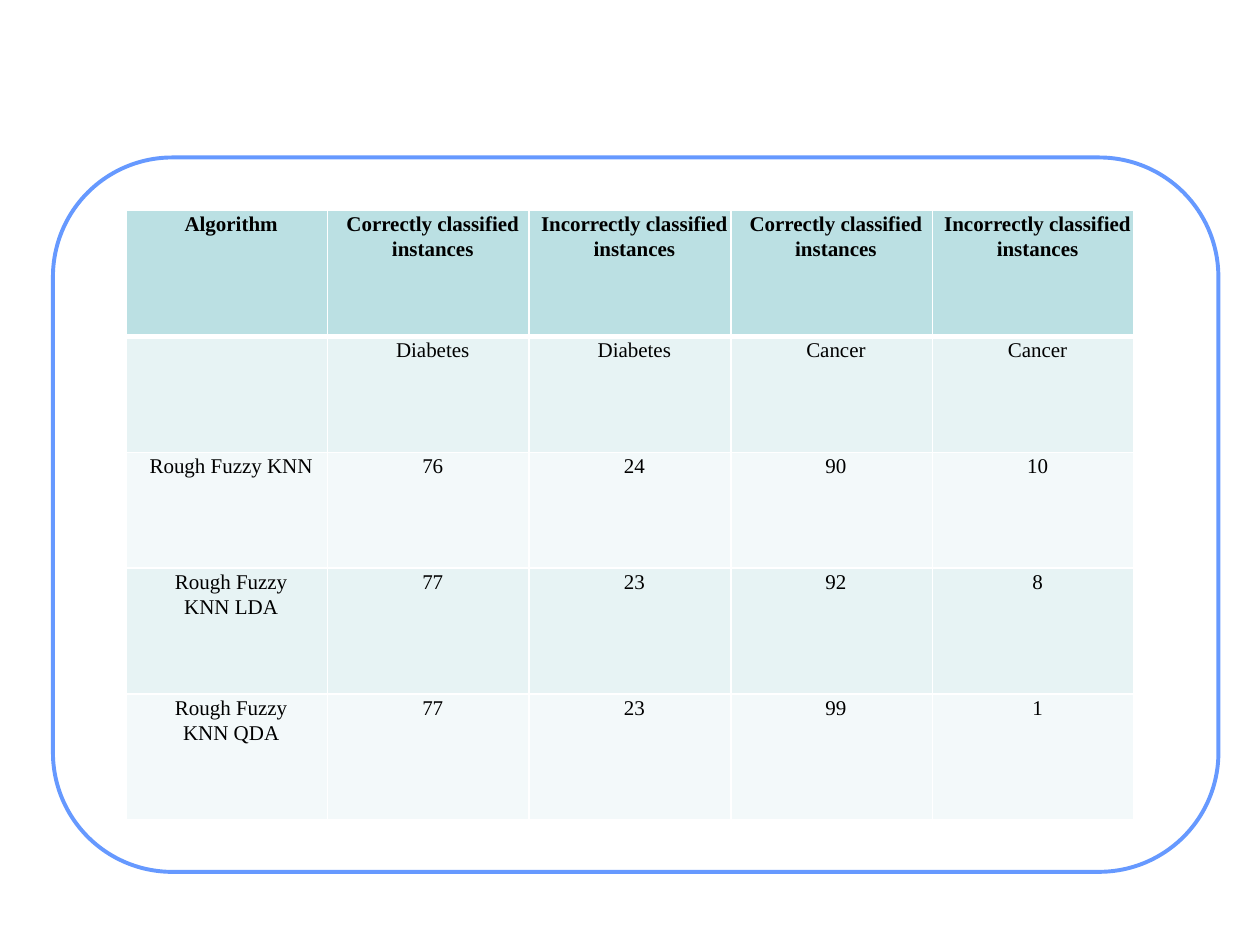
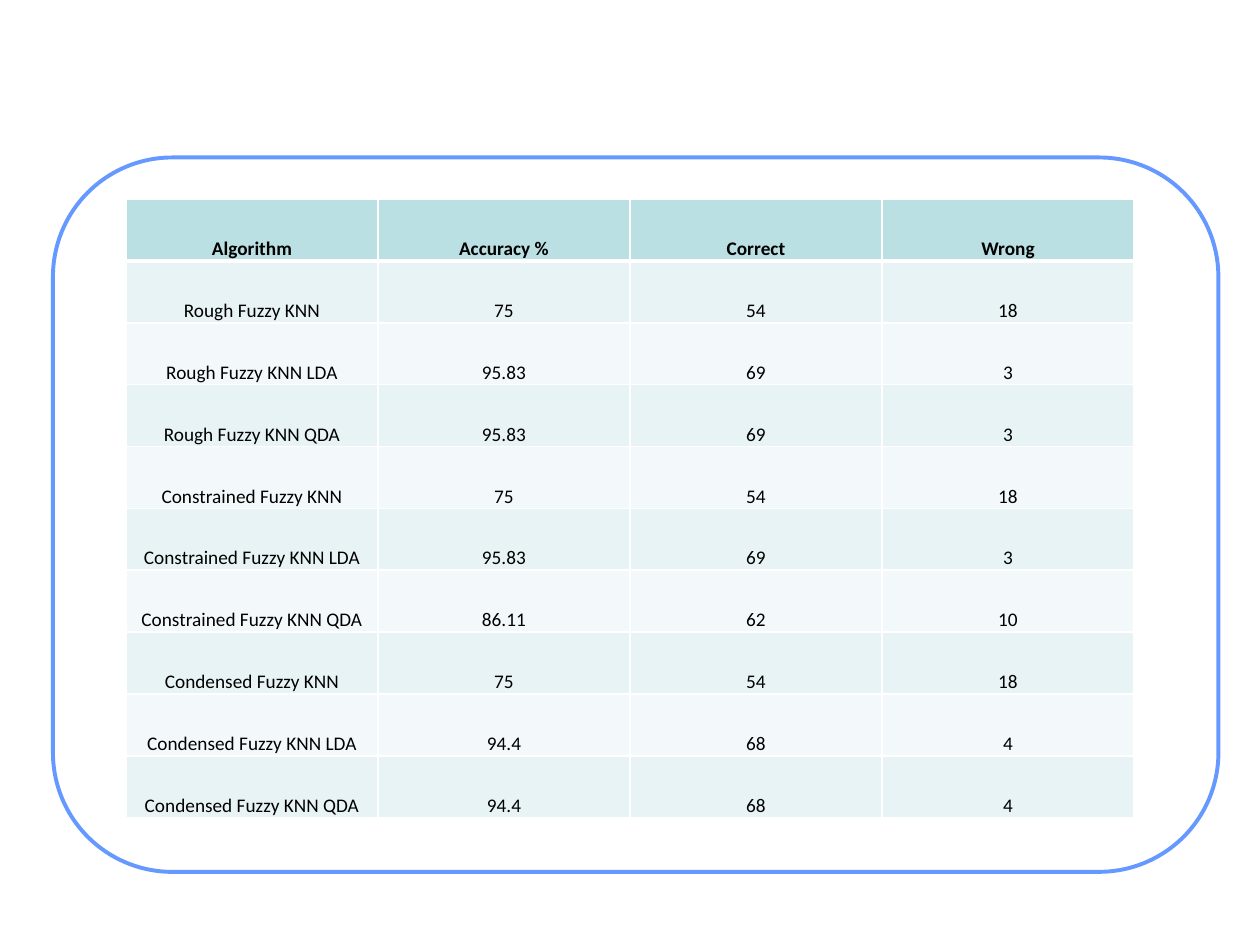
from dataclasses import dataclass

from lxml.etree import SubElement
from pptx import Presentation
from pptx.dml.color import RGBColor
from pptx.enum.shapes import MSO_SHAPE
from pptx.enum.text import MSO_ANCHOR, PP_ALIGN
from pptx.oxml.ns import qn
from pptx.util import Inches, Pt


@dataclass(frozen=True)
class Theme:
    """Colours and line widths shared by the slides."""
    white: str = "FFFFFF"
    text: str = "000000"
    frame: str = "6699FF"
    header: str = "BBE0E3"
    bands: tuple = ("E7F3F4", "F3F9FA")
    frame_width: float = 2.25
    rule: float = 1
    header_rule: float = 3


@dataclass(frozen=True)
class TableStyle:
    """Type and cell layout of one table."""
    font: str
    size: float
    spacing: float
    anchor: MSO_ANCHOR
    insets: tuple


THEME = Theme()
CLASSIFIED = TableStyle("Times New Roman", 12, 1.07, MSO_ANCHOR.TOP, (0.07, 0.01, 0, 0))
ACCURACY = TableStyle("Calibri", 11, 1.15, MSO_ANCHOR.BOTTOM, (0.07, 0, 0.07, 0))

FRAME_BOX = (0.42, 1.25, 9.25, 5.67)

CLASSIFIED_ROWS = [
    ("Algorithm",) + ("Correctly classified instances", "Incorrectly classified instances") * 2,
    ("", "Diabetes", "Diabetes", "Cancer", "Cancer"),
    ("Rough Fuzzy KNN", "76", "24", "90", "10"),
    ("Rough Fuzzy\nKNN LDA", "77", "23", "92", "8"),
    ("Rough Fuzzy\nKNN QDA", "77", "23", "99", "1"),
]

ACCURACY_ROWS = [
    ("Algorithm", "Accuracy %", "Correct", "Wrong"),
    ("Rough Fuzzy KNN", "75", "54", "18"),
    ("Rough Fuzzy KNN LDA", "95.83", "69", "3"),
    ("Rough Fuzzy KNN QDA", "95.83", "69", "3"),
    ("Constrained Fuzzy KNN", "75", "54", "18"),
    ("Constrained Fuzzy KNN LDA", "95.83", "69", "3"),
    ("Constrained Fuzzy KNN QDA", "86.11", "62", "10"),
    ("Condensed Fuzzy KNN", "75", "54", "18"),
    ("Condensed Fuzzy KNN LDA", "94.4", "68", "4"),
    ("Condensed Fuzzy KNN QDA", "94.4", "68", "4"),
]


def rgb(color):
    """Turn a hex string into a colour."""
    return RGBColor.from_string(color)


def add_frame(s, box):
    """Draw the rounded frame in the box."""
    sp = s.shapes.add_shape(MSO_SHAPE.ROUNDED_RECTANGLE, *map(Inches, box))
    sp.adjustments[0] = 0.167
    sp.shadow.inherit = False
    sp.fill.solid()
    sp.fill.fore_color.rgb = rgb(THEME.white)
    sp.line.color.rgb = rgb(THEME.frame)
    sp.line.width = Pt(THEME.frame_width)


def set_borders(cell, top, bottom):
    """Rule the four sides of a cell in white."""
    tc_pr = cell._tc.get_or_add_tcPr()
    widths = {"a:lnL": THEME.rule, "a:lnR": THEME.rule, "a:lnT": top, "a:lnB": bottom}
    for tag, width in widths.items():
        ln = SubElement(tc_pr, qn(tag), w=str(Pt(width)))
        fill = SubElement(ln, qn("a:solidFill"))
        SubElement(fill, qn("a:srgbClr"), val=THEME.white)


def fill_cell(cell, text, style, row):
    """Write and format one cell according to its row."""
    top = THEME.header_rule if row == 1 else THEME.rule
    bottom = THEME.header_rule if row == 0 else THEME.rule
    set_borders(cell, top, bottom)
    cell.fill.solid()
    cell.fill.fore_color.rgb = rgb(THEME.bands[(row - 1) % 2] if row else THEME.header)
    cell.vertical_anchor = style.anchor
    (cell.margin_left, cell.margin_top,
     cell.margin_right, cell.margin_bottom) = map(Inches, style.insets)
    cell.text_frame.text = text
    for p in cell.text_frame.paragraphs:
        p.alignment = PP_ALIGN.CENTER
        p.line_spacing = style.spacing
        for r in p.runs:
            r.font.name = style.font
            r.font.size = Pt(style.size)
            r.font.bold = row == 0
            r.font.color.rgb = rgb(THEME.text)


def add_results_table(s, box, rows, heights, style):
    """Place a table with equal columns and the given row heights in the box."""
    columns = len(rows[0])
    table = s.shapes.add_table(len(rows), columns, *map(Inches, box)).table
    for column in table.columns:
        column.width = Inches(box[2] / columns)
    for i, (values, height) in enumerate(zip(rows, heights)):
        table.rows[i].height = Inches(height)
        for j, text in enumerate(values):
            fill_cell(table.cell(i, j), text, style, i)


def add_results_slide(prs, box, rows, heights, style):
    """Add a framed slide that holds one results table."""
    s = prs.slides.add_slide(prs.slide_layouts[6])
    add_frame(s, FRAME_BOX)
    add_results_table(s, box, rows, heights, style)


def main():
    """Build and save the presentation."""
    prs = Presentation()
    prs.slide_width, prs.slide_height = Inches(10), Inches(7.5)
    add_results_slide(prs, (1, 1.67, 8, 4.83), CLASSIFIED_ROWS,
                      (1, 0.92, 0.92, 1, 1), CLASSIFIED)
    count = len(ACCURACY_ROWS)
    add_results_slide(prs, (1, 1.58, 8, 4.91), ACCURACY_ROWS,
                      [4.91 / count] * count, ACCURACY)
    prs.save("out.pptx")


main()
